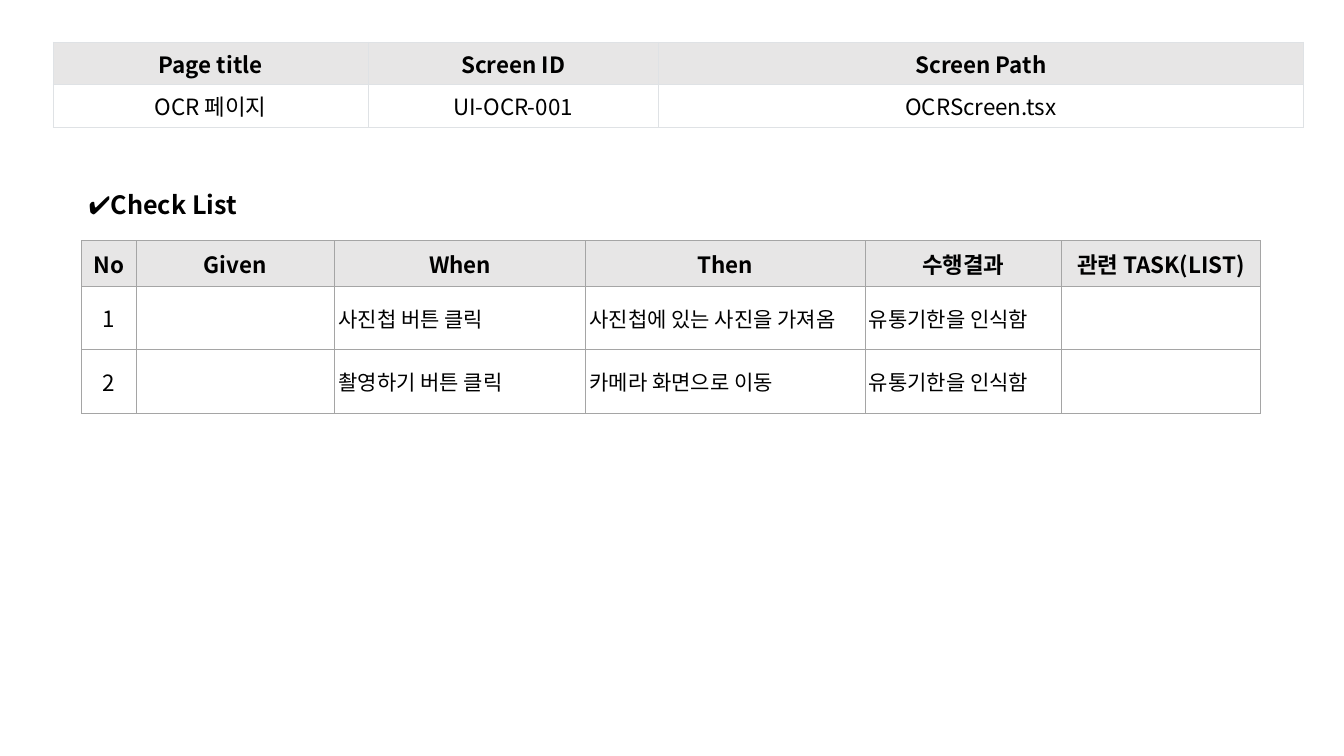
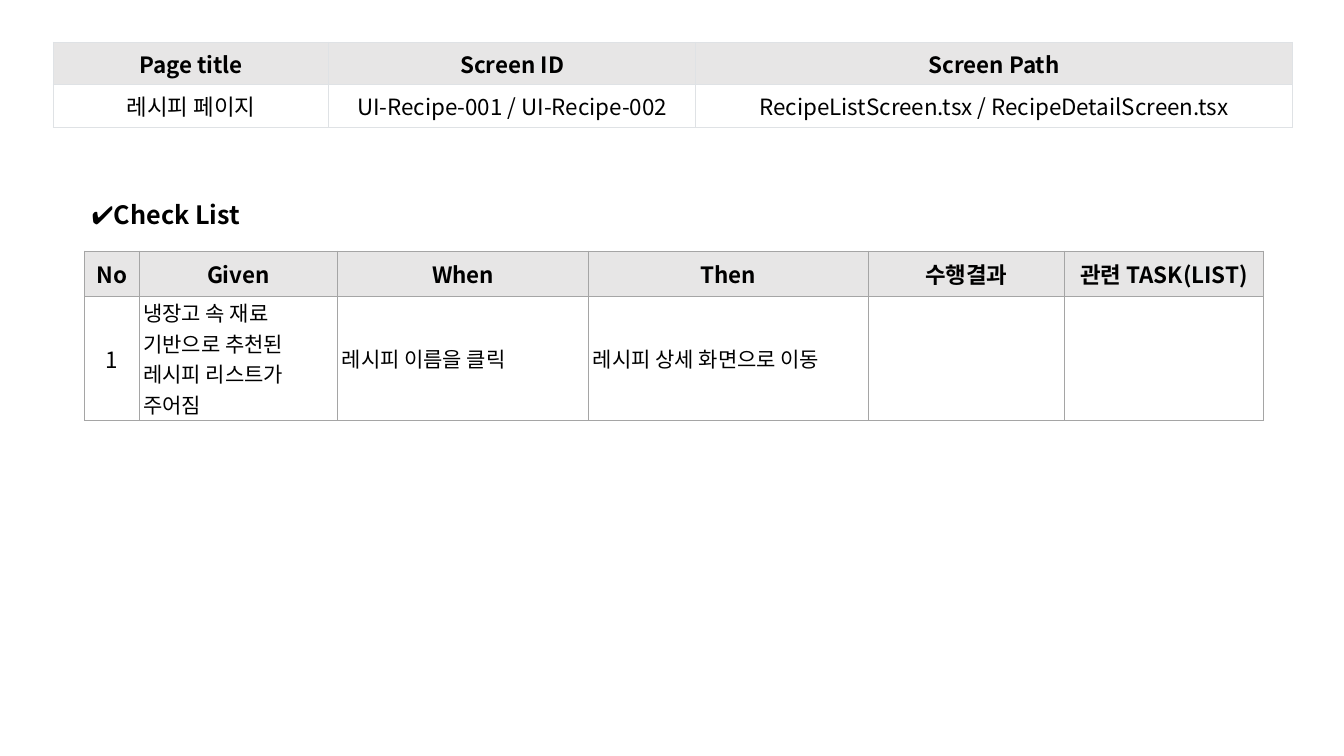
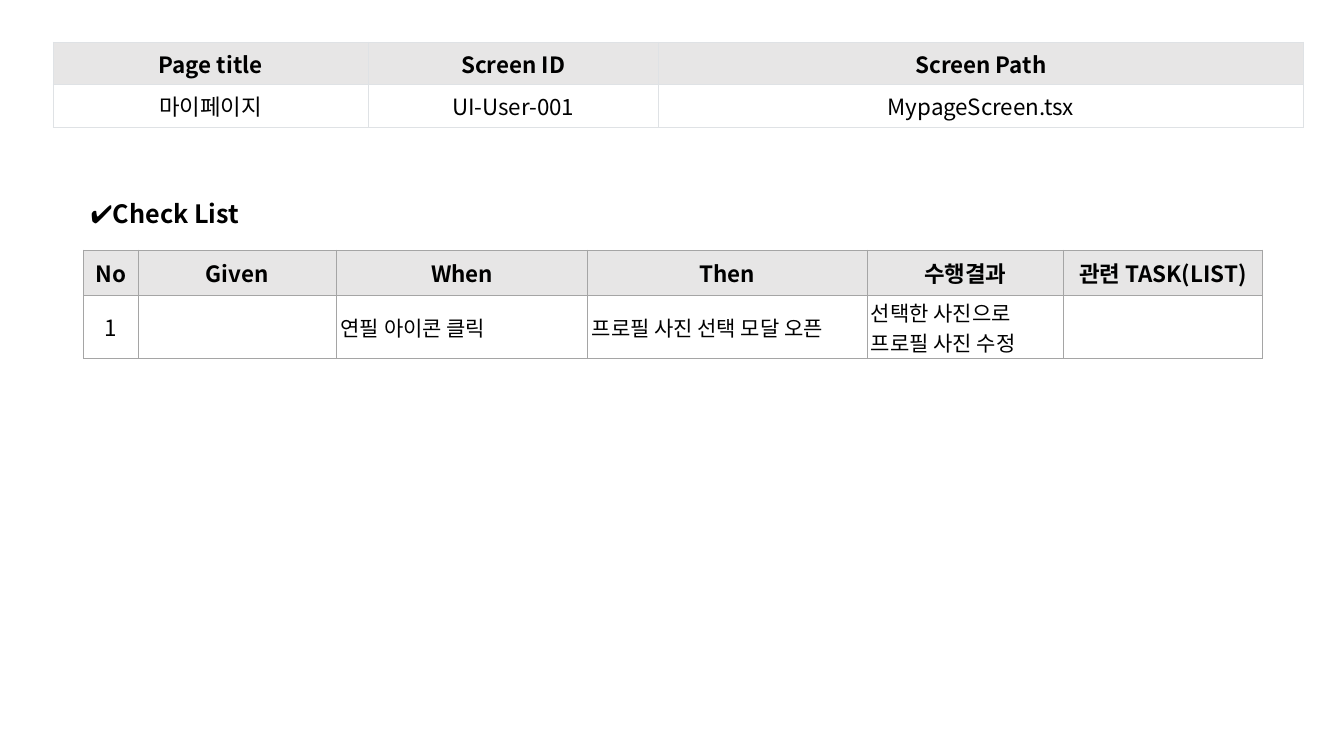
from lxml import etree
from pptx import Presentation
from pptx.dml.color import RGBColor
from pptx.enum.text import MSO_ANCHOR, MSO_AUTO_SIZE, PP_ALIGN
from pptx.oxml.ns import qn
from pptx.util import Pt

PX = 9144
TOP, MID = MSO_ANCHOR.TOP, MSO_ANCHOR.MIDDLE
LEFT, MIDDLE = PP_ALIGN.LEFT, PP_ALIGN.CENTER
FIXED = MSO_AUTO_SIZE.NONE

FONT = "Noto Sans CJK KR"
INK, HEAD, PAPER = "000000", "E7E6E6", "FFFFFF"
PALE, GREY = "DFE2E5", "A5A5A5"

INFO = ["Page title", "Screen ID", "Screen Path"]
TESTS = ["No", "Given", "When", "Then", "수행결과", "관련 TASK(LIST)"]
TEST_COLS = [54, 197, 249, 277, 195, 197]
WIDE, EVEN = [312, 288, 640], [273, 364, 592]

PAGES = [
    (["OCR 페이지", "UI-OCR-001", "OCRScreen.tsx"], WIDE, 81, 239, 63,
     [["1", "", "사진첩 버튼 클릭", "사진첩에 있는 사진을 가져옴", "유통기한을 인식함", ""],
      ["2", "", "촬영하기 버튼 클릭", "카메라 화면으로 이동", "유통기한을 인식함", ""]]),
    (["레시피 페이지", "UI-Recipe-001 / UI-Recipe-002",
      "RecipeListScreen.tsx / RecipeDetailScreen.tsx"], EVEN, 84, 249, 123,
     [["1", "냉장고 속 재료 기반으로 추천된 레시피 리스트가 주어짐",
       "레시피 이름을 클릭", "레시피 상세 화면으로 이동", "", ""]]),
    (["마이페이지", "UI-User-001", "MypageScreen.tsx"], WIDE, 83, 248, 63,
     [["1", "", "연필 아이콘 클릭", "프로필 사진 선택 모달 오픈",
       "선택한 사진으로 프로필 사진 수정", ""]]),
]


def color(code):
    """Turn a hex string into a colour."""
    return RGBColor.from_string(code)


class Deck:
    """Hold the shared style and the current slide."""

    def __init__(self):
        """Start an empty wide deck."""
        self.file = Presentation()
        self.file.slide_width = 1333 * PX
        self.file.slide_height = 750 * PX
        self.slide = None

    def page(self):
        """Add a slide with a title."""
        self.slide = self.file.slides.add_slide(self.file.slide_layouts[5])

    def style(self, para, size, bold, align):
        """Set the font and alignment of a paragraph."""
        para.alignment = align
        font = para.font
        font.name, font.size, font.bold = FONT, Pt(size), bold
        font.color.rgb = color(INK)
        props = para._p.get_or_add_pPr().find(qn("a:defRPr"))
        etree.SubElement(props, qn("a:ea"), typeface=FONT)

    def title(self, text, x, y):
        """Place the slide title."""
        box = self.slide.shapes.title
        box.left, box.top, box.width, box.height = [
            n * PX for n in (x, y, 185, 40)]
        frame = box.text_frame
        frame.text = text
        frame.auto_size, frame.vertical_anchor = FIXED, TOP
        frame.margin_left = frame.margin_right = 10 * PX
        frame.margin_top = frame.margin_bottom = 5 * PX
        self.style(frame.paragraphs[0], 18, True, LEFT)

    def edges(self, cell, line):
        """Draw the four borders of a cell."""
        props = cell._tc.get_or_add_tcPr()
        for spot, side in enumerate(("lnL", "lnR", "lnT", "lnB")):
            edge = etree.Element(qn(f"a:{side}"), w=str(Pt(0.75)))
            fill = etree.SubElement(edge, qn("a:solidFill"))
            etree.SubElement(fill, qn("a:srgbClr"), val=line)
            props.insert(spot, edge)

    def cell(self, cell, text, fill, line, pad, size, bold, align):
        """Fill one table cell."""
        cell.fill.solid()
        cell.fill.fore_color.rgb = color(fill)
        self.edges(cell, line)
        cell.vertical_anchor = MID
        cell.margin_left = cell.margin_right = pad[0] * PX
        cell.margin_top = cell.margin_bottom = pad[1] * PX
        cell.text = text
        self.style(cell.text_frame.paragraphs[0], size, bold, align)

    def table(self, x, y, cols, tall, data, line, pads, notes=False):
        """Add a table with a shaded head row."""
        grid = self.slide.shapes.add_table(
            len(data), len(cols), x * PX, y * PX,
            sum(cols) * PX, sum(tall) * PX).table
        grid.first_row = grid.horz_banding = False
        for col, wide in zip(grid.columns, cols):
            col.width = wide * PX
        for r, row in enumerate(data):
            grid.rows[r].height = tall[r] * PX
            head = r == 0
            for c, text in enumerate(row):
                note = notes and not head and c > 0
                self.cell(grid.cell(r, c), text, HEAD if head else PAPER,
                          line, pads[0 if head else 1], 15 if note else 16,
                          head, LEFT if note else MIDDLE)


def main():
    """Build the check list deck."""
    deck = Deck()
    for info, cols, x, y, tall, tests in PAGES:
        deck.page()
        deck.title("✔Check List", x - 3, y - 56)
        deck.table(x, y, TEST_COLS, [45] + [tall] * len(tests),
                   [TESTS] + tests, GREY, [(4, 2), (4, 1)], True)
        deck.table(53, 42, cols, [42, 42], [INFO, info], PALE, [(11, 5)] * 2)
    deck.file.save("out.pptx")


if __name__ == "__main__":
    main()
